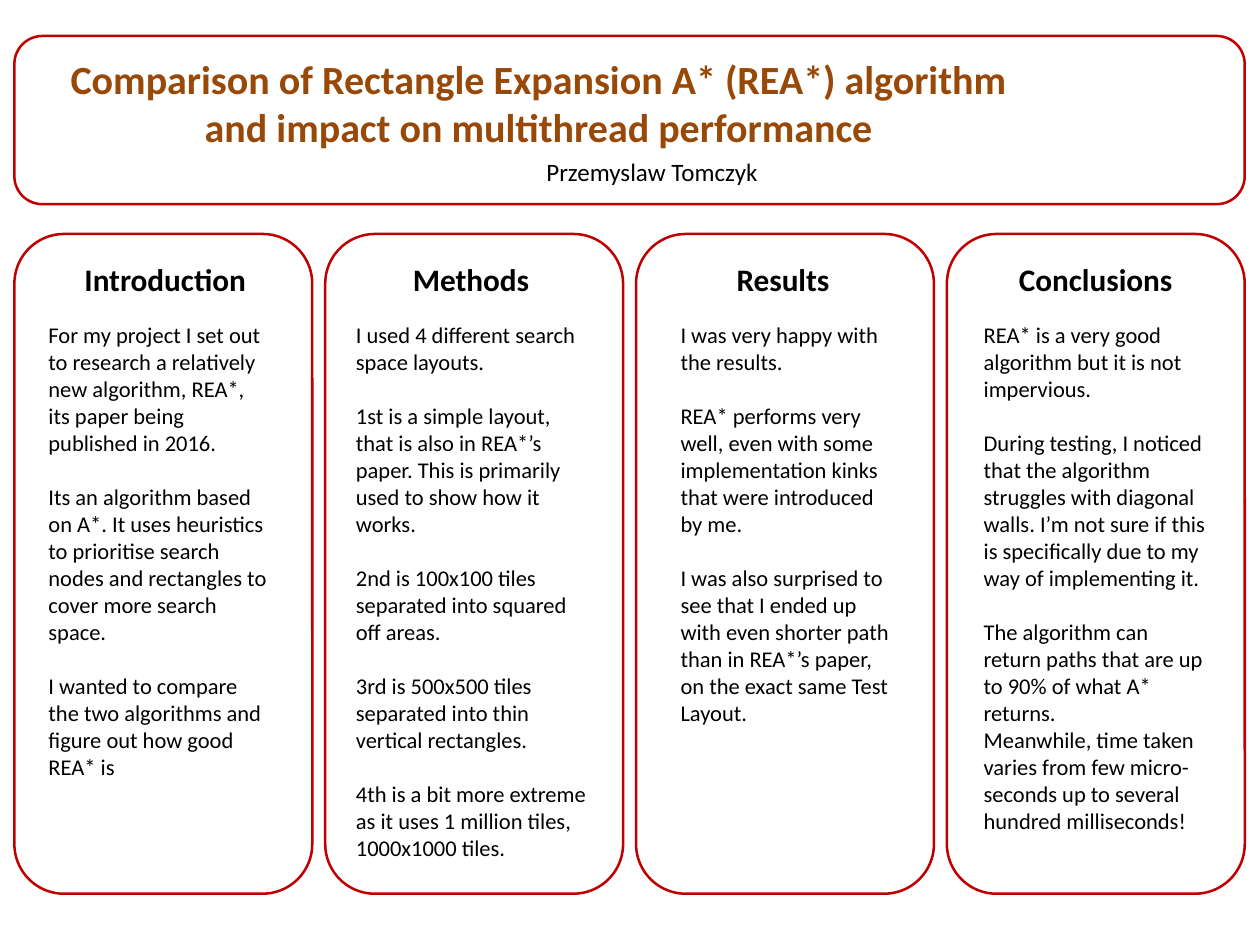
from pptx import Presentation
from pptx.dml.color import RGBColor as Rgb
from pptx.enum.shapes import MSO_SHAPE as Shape
from pptx.enum.text import MSO_ANCHOR as Anchor, MSO_AUTO_SIZE as Fit, PP_ALIGN as Align
from pptx.util import Pt

COLORS = {"paper": "FFFFFF", "edge": "C00000", "title": "984807", "ink": "000000"}
WIDE, TIGHT = (10.1, 5), (7.2, 3.6)
LEFT, WIDTH = 11.5, 984.3
COL_W, COL_TOP, COL_H = 238.3, 187.2, 527.8
GAP = 21.6

COLUMNS = [
    ("Introduction", (46, 151), (20.2, 191.5), [
        "For my project I set out to research a relatively new algorithm, REA*, "
        "its paper being published in 2016.",
        "Its an algorithm based on A*. It uses heuristics to prioritise search "
        "nodes and rectangles to cover more search space.",
        "I wanted to compare the two algorithms and figure out how good REA* is",
    ]),
    ("Methods", (60, 114.5), (17.5, 203.8), [
        "I used 4 different search space layouts.",
        "1st is a simple layout, that is also in REA*’s paper. This is primarily "
        "used to show how it works.",
        "2nd is 100x100 tiles separated into squared off areas.",
        "3rd is 500x500 tiles separated into thin vertical rectangles.",
        "4th is a bit more extreme as it uses 1 million tiles, 1000x1000 tiles.",
    ]),
    ("Results", (70.3, 95.8), (28.5, 183.6), [
        "I was very happy with the results.",
        "REA* performs very well, even with some implementation kinks that were "
        "introduced by me.",
        "I was also surprised to see that I ended up with even shorter path than "
        "in REA*’s paper, on the exact same Test Layout.",
    ]),
    ("Conclusions", (47.5, 143.3), (22.3, 195.1), [
        "REA* is a very good algorithm but it is not impervious.",
        "During testing, I noticed that the algorithm struggles with diagonal "
        "walls. I’m not sure if this is specifically due to my way of "
        "implementing it.",
        "The algorithm can return paths that are up to 90% of what A* returns.",
        "Meanwhile, time taken varies from few micro-seconds up to several "
        "hundred milliseconds!",
    ]),
]


def add_panel(slide, x, y, w, h):
    """Draw a white rounded panel with a red edge."""
    panel = slide.shapes.add_shape(Shape.ROUNDED_RECTANGLE, Pt(x), Pt(y), Pt(w), Pt(h))
    panel.shadow.inherit = False
    panel.fill.solid()
    panel.fill.fore_color.rgb = Rgb.from_string(COLORS["paper"])
    panel.line.color.rgb = Rgb.from_string(COLORS["edge"])
    panel.line.width = Pt(2)


def fill_text(frame, lines, size, color="ink", bold=False, align=Align.LEFT,
              inset=WIDE, wrap=True, gaps=()):
    """Write one paragraph per line, with a gap above those listed."""
    frame.word_wrap = wrap
    frame.auto_size = Fit.NONE
    frame.vertical_anchor = Anchor.TOP
    frame.margin_left = frame.margin_right = Pt(inset[0])
    frame.margin_top = frame.margin_bottom = Pt(inset[1])
    for i, line in enumerate(lines):
        para = frame.add_paragraph() if i else frame.paragraphs[0]
        para.alignment = align
        para.space_before = Pt(GAP if i in gaps else 0)
        run = para.add_run()
        run.text = line
        run.font.name = "Calibri"
        run.font.size = Pt(size)
        run.font.bold = bold
        run.font.color.rgb = Rgb.from_string(COLORS[color])


def add_text(slide, x, y, w, h, lines, size, **style):
    """Add a text box holding the given lines."""
    box = slide.shapes.add_textbox(Pt(x), Pt(y), Pt(w), Pt(h))
    fill_text(box.text_frame, lines, size, **style)


def add_header(slide, x, y, w, h):
    """Build the title panel with its title and author."""
    add_panel(slide, x, y, w, h)
    title = slide.shapes.title
    title.left, title.top = Pt(x + 13), Pt(y + 9.4)
    title.width, title.height = Pt(813.6), Pt(87.8)
    tree = slide.shapes.element
    tree.remove(title.element)
    tree.append(title.element)
    lines = ["Comparison of Rectangle Expansion A* (REA*) algorithm",
             "and impact on multithread performance"]
    fill_text(title.text_frame, lines, 32, color="title", bold=True, align=Align.CENTER)
    add_text(slide, x + 415.5, y + 91.4, 190.8, 34.6, ["Przemyslaw Tomczyk"], 20, wrap=False)


def add_column(slide, x, y, w, h, head, head_box, body_box, lines):
    """Build one column: panel, heading and body text."""
    add_panel(slide, x, y, w, h)
    dx, width = head_box
    add_text(slide, x + dx, y + 15.8, width, 40.3, [head], 25, bold=True, wrap=False)
    dx, width = body_box
    gaps = [i for i, line in enumerate(lines) if i and not line.startswith("Meanwhile")]
    add_text(slide, x + dx, y + 66.3, width, h - 84, lines, 18, inset=TIGHT, gaps=gaps)


def main():
    """Build the poster slide and save it."""
    deck = Presentation()
    deck.slide_width, deck.slide_height = Pt(1008), Pt(756)
    slide = deck.slides.add_slide(deck.slide_layouts[5])
    add_header(slide, LEFT, 28.8, WIDTH, 134.6)
    pitch = (WIDTH - COL_W) / (len(COLUMNS) - 1)
    for i, column in enumerate(COLUMNS):
        add_column(slide, LEFT + i * pitch, COL_TOP, COL_W, COL_H, *column)
    deck.save("out.pptx")


if __name__ == "__main__":
    main()
